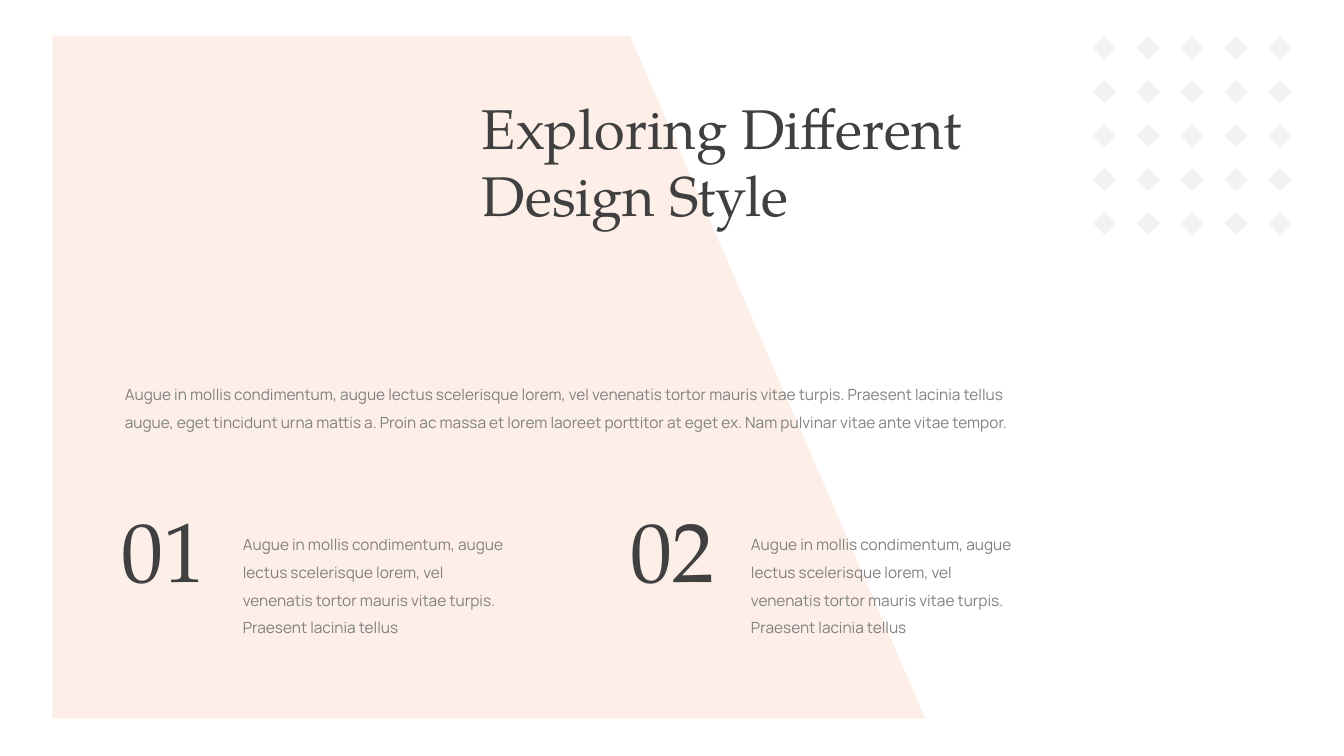
from dataclasses import dataclass
from itertools import product

from lxml.etree import SubElement
from pptx import Presentation
from pptx.dml.color import RGBColor
from pptx.enum.shapes import MSO_SHAPE as Preset
from pptx.enum.text import MSO_ANCHOR as Anchor, MSO_AUTO_SIZE as AutoSize, PP_ALIGN as Align
from pptx.oxml.ns import qn
from pptx.util import Inches, Pt


@dataclass(frozen=True)
class Theme:
    panel: str = "FDEFE6"
    diamond: str = "F2F2F2"
    heading: str = "404040"
    body: str = "808080"
    serif: str = "TeX Gyre Pagella"
    sans: str = "Manrope"
    title_size: int = 40
    number_size: int = 60
    body_size: int = 11
    body_spacing: float = 1.5


THEME = Theme()
SUMMARY = (
    "Augue in mollis condimentum, augue lectus scelerisque lorem, "
    "vel venenatis tortor mauris vitae turpis. Praesent lacinia tellus"
)
INTRO = SUMMARY + (
    " augue, eget tincidunt urna mattis a. Proin ac massa et lorem laoreet "
    "porttitor at eget ex. Nam pulvinar vitae ante vitae tempor."
)


def paint(shape, color):
    shape.shadow.inherit = False
    shape.fill.solid()
    shape.fill.fore_color.rgb = RGBColor.from_string(color)
    shape.line.fill.background()


def write(box, text, font, size, color, align=Align.LEFT, spacing=1.0):
    frame = box.text_frame
    frame.text = text
    frame.word_wrap = True
    frame.auto_size = AutoSize.SHAPE_TO_FIT_TEXT
    frame.vertical_anchor = Anchor.TOP
    para = frame.paragraphs[0]
    para.alignment = align
    para.line_spacing = spacing
    for span in para.runs:
        span.font.name = font
        span.font.size = Pt(size)
        span.font.color.rgb = RGBColor.from_string(color)


def add_text(page, left, top, width, height, *style, **layout):
    box = page.shapes.add_textbox(Inches(left), Inches(top), Inches(width), Inches(height))
    write(box, *style, **layout)


def add_body(page, left, top, width, height, text):
    add_text(page, left, top, width, height, text, THEME.sans, THEME.body_size,
             THEME.body, spacing=THEME.body_spacing)


def add_panel(page, left, top, width, height, top_width):
    corners = [
        (left + top_width, top),
        (left + width, top + height),
        (left, top + height),
    ]
    builder = page.shapes.build_freeform(Inches(left), Inches(top))
    builder.add_line_segments([(Inches(x), Inches(y)) for x, y in corners], close=True)
    panel = builder.convert_to_shape()
    paint(panel, THEME.panel)
    color = panel.element.spPr.find(qn("a:solidFill"))[0]
    SubElement(color, qn("a:alpha"), val="95000")
    page.shapes.title.element.addprevious(panel.element)


def add_title(page, left, top, width, height):
    title = page.shapes.title
    title.left, title.top = Inches(left), Inches(top)
    title.width, title.height = Inches(width), Inches(height)
    write(title, "Exploring Different Design Style", THEME.serif,
          THEME.title_size, THEME.heading)


def add_point(page, left, top, number):
    add_body(page, left + 1.69, top + 0.27, 2.81, 1.21, SUMMARY)
    add_text(page, left, top, 1.52, 1.11, f"{number:02}", THEME.serif,
             THEME.number_size, THEME.heading, align=Align.RIGHT)


def add_diamonds(page, left, top, side, count=5, diamond=0.23):
    group = page.shapes.add_group_shape()
    step = (side - diamond) / (count - 1)
    for row, column in product(range(count), repeat=2):
        shape = group.shapes.add_shape(
            Preset.DIAMOND, Inches(left + column * step), Inches(top + row * step),
            Inches(diamond), Inches(diamond))
        paint(shape, THEME.diamond)


def build_slide(deck):
    page = deck.slides.add_slide(deck.slide_layouts[5])
    add_panel(page, 0.52, 0.36, 8.66, 6.77, top_width=5.73)
    add_title(page, 4.68, 0.88, 5.82, 1.45)
    for index in range(2):
        add_point(page, 0.62 + index * 5.04, 4.9, index + 1)
    add_body(page, 1.14, 3.68, 9.02, 0.93, INTRO)
    add_diamonds(page, 10.84, 0.36, 1.97)


def main():
    deck = Presentation()
    deck.slide_width, deck.slide_height = Inches(13.33), Inches(7.5)
    build_slide(deck)
    deck.save("out.pptx")


if __name__ == "__main__":
    main()
